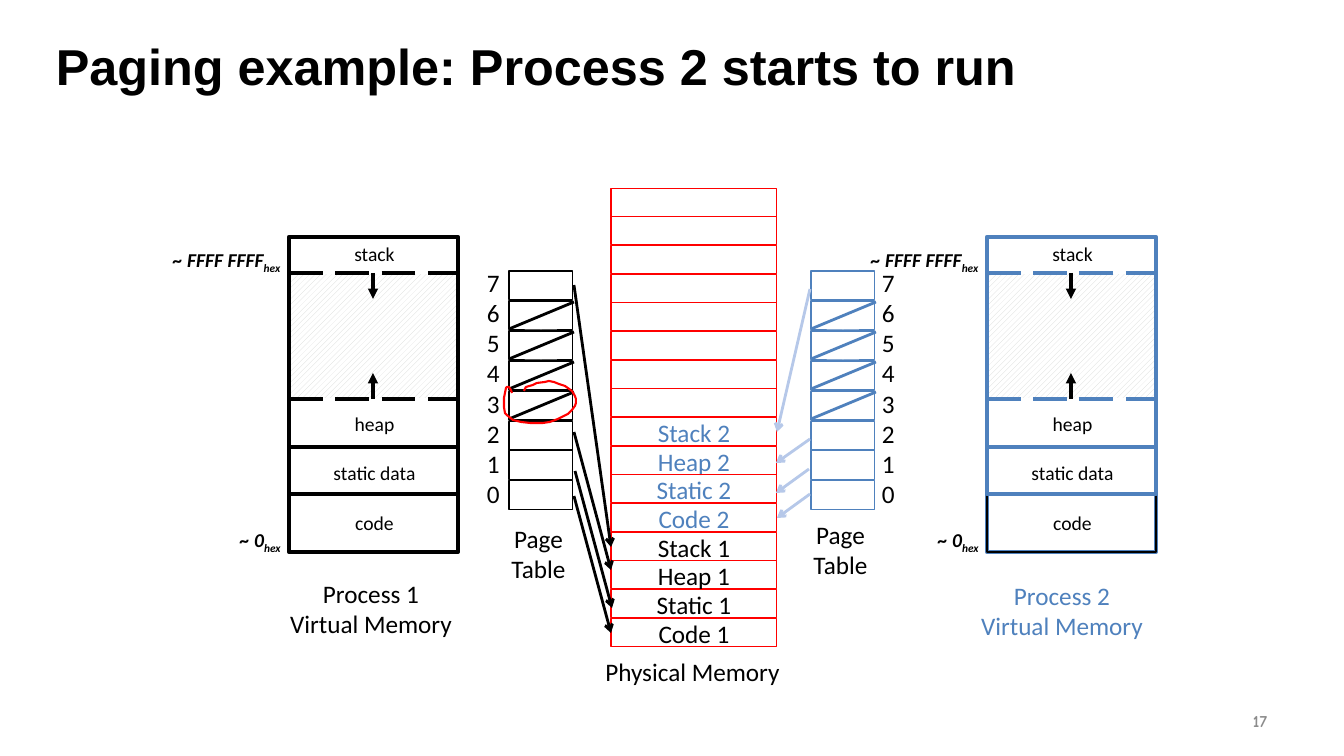
from pptx import Presentation
from pptx.dml.color import RGBColor
from pptx.enum.dml import MSO_LINE, MSO_PATTERN
from pptx.enum.shapes import MSO_CONNECTOR, MSO_SHAPE
from pptx.enum.text import MSO_ANCHOR, PP_ALIGN
from pptx.oxml.ns import qn
from pptx.util import Emu, Pt
from lxml import etree

LEFT, CENTER, RIGHT = PP_ALIGN.LEFT, PP_ALIGN.CENTER, PP_ALIGN.RIGHT
TOP, MIDDLE = MSO_ANCHOR.TOP, MSO_ANCHOR.MIDDLE
RECTANGLE, STRAIGHT = MSO_SHAPE.RECTANGLE, MSO_CONNECTOR.STRAIGHT
LONG_DASH, HATCH = MSO_LINE.LONG_DASH, MSO_PATTERN.WIDE_UPWARD_DIAGONAL

EMU_PER_PX = 914400 / 100.8
BLACK, BLUE, PALE_BLUE, RED = "000000", "4F81BD", "B6C8E9", "FF0000"
WHITE, HATCH_GREY, NUMBER_GREY = "FFFFFF", "D6D7D6", "8C8C8C"

FRAMES = [""] * 8 + [
    "Stack 2", "Heap 2", "Static 2", "Code 2",
    "Stack 1", "Heap 1", "Static 1", "Code 1",
]
PROCESS_1_MAPPING = [
    ((574, 496), (611, 633)), ((575, 471), (612, 608)),
    ((574, 432), (611, 570)), ((574, 285), (611, 547)),
]
PROCESS_2_MAPPING = [
    ((810, 494), (777, 518)), ((809, 469), (776, 493)),
    ((810, 439), (776, 463)), ((810, 289), (777, 432)),
]
CIRCLE_MARK = [
    (512, 393), (511, 390), (509, 387), (507, 387), (506, 388), (505, 393),
    (504, 398), (504, 407), (505, 413), (508, 416), (513, 420), (521, 422),
    (530, 423), (543, 423), (550, 422), (558, 419), (568, 414), (572, 410),
    (575, 406), (576, 403), (576, 399), (575, 396), (572, 391), (565, 386),
    (559, 384), (554, 382), (549, 381), (545, 382), (537, 383), (533, 385),
    (526, 387), (524, 391),
]


def px(length):
    return Emu(round(length * EMU_PER_PX))


def rgb(value):
    return RGBColor.from_string(value)


class MemoryDiagram:
    """Draws text, boxes, lines and memory layouts on one slide."""

    def __init__(self, slide, font="Calibri"):
        self.shapes = slide.shapes
        self.font = font

    def fill_text(self, frame, paragraphs, size, color, align, anchor=TOP,
                  bold=False, italic=False, font=None, subscript=""):
        frame.word_wrap = True
        frame.vertical_anchor = anchor
        if align == CENTER:
            frame.margin_left = frame.margin_right = 0
        for index, content in enumerate(paragraphs):
            paragraph = frame.paragraphs[0] if index == 0 else frame.add_paragraph()
            paragraph.alignment = align
            for number, line in enumerate(content.split("\n")):
                if number:
                    paragraph.add_line_break()
                self.add_run(paragraph, line, size, color, bold, italic, font)
            if subscript:
                run = self.add_run(paragraph, subscript, size, color, bold, italic, font)
                run._r.get_or_add_rPr().set("baseline", "-25000")

    def add_run(self, paragraph, content, size, color, bold, italic, font):
        run = paragraph.add_run()
        run.text = content
        run.font.name = font or self.font
        run.font.size = Pt(size)
        run.font.bold, run.font.italic = bold, italic
        run.font.color.rgb = rgb(color)
        return run

    def text(self, left, top, width, height, paragraphs, size=18,
             color=BLACK, align=CENTER, **style):
        box = self.shapes.add_textbox(px(left), px(top), px(width), px(height))
        self.fill_text(box.text_frame, paragraphs, size, color, align, **style)

    def outline(self, shape, color, weight):
        shape.shadow.inherit = False
        shape.fill.background()
        shape.line.color.rgb = rgb(color)
        shape.line.width = Pt(weight)

    def box(self, left, top, width, height, color, weight):
        shape = self.shapes.add_shape(RECTANGLE, px(left), px(top), px(width), px(height))
        self.outline(shape, color, weight)
        return shape

    def line(self, start, end, color, weight, dash=None, head=None):
        connector = self.shapes.add_connector(
            STRAIGHT, px(start[0]), px(start[1]), px(end[0]), px(end[1]))
        connector.line.color.rgb = rgb(color)
        connector.line.width = Pt(weight)
        if dash:
            connector.line.dash_style = dash
        if head:
            tail_end = etree.SubElement(connector.line._get_or_add_ln(), qn("a:tailEnd"))
            tail_end.set("type", head)
        etree.SubElement(connector._element.spPr, qn("a:effectLst"))

    def freehand(self, points, color, weight):
        builder = self.shapes.build_freeform(*points[0], scale=EMU_PER_PX)
        builder.add_line_segments(points[1:], close=False)
        self.outline(builder.convert_to_shape(), color, weight)

    def virtual_memory(self, left, color):
        unused = self.box(left, 273, 169, 126, WHITE, 1)
        unused.fill.patterned()
        unused.fill.pattern = HATCH
        unused.fill.fore_color.rgb = rgb(HATCH_GREY)
        unused.fill.back_color.rgb = rgb(WHITE)
        self.box(left, 237, 169, 315, color, 3)
        self.box(left, 494, 169, 58, BLACK, 1)
        self.box(left, 447, 169, 47, color, 3)
        for boundary, growth in ((399, -26), (273, 26)):
            self.line((left, boundary), (left + 169, boundary), color, 3, dash=LONG_DASH)
            self.line((left + 84, boundary), (left + 84, boundary + growth),
                      BLACK, 2.5, head="triangle")
        for segment, top in (("code", 506), ("static data", 456),
                             ("heap", 407), ("stack", 237)):
            self.text(left + 20, top, 131, 34, [segment], size=14)
        for address, offset, top in (("~ FFFF FFFF", -126, 243), ("~ 0", -59, 523)):
            self.text(left + offset, top, 136, 34, [address], size=14, align=LEFT,
                      bold=True, italic=True, subscript="hex")

    def page_table(self, left, digits_left, label_top, color):
        for row in range(8):
            self.box(left, 271 + 30 * row, 64, 29, color, 0.75)
        self.text(digits_left, 262, 40, 254, [str(page) for page in range(7, -1, -1)],
                  align=LEFT)
        self.text(left - 8, label_top, 75, 72, ["Page\nTable"])

    def unmapped_pages(self, left, color):
        for row in range(4):
            self.line((left, 329 + 30 * row), (left + 65, 302 + 30 * row), color, 2)

    def physical_memory(self, left, top):
        for index, owner in enumerate(FRAMES):
            frame = self.box(left, top + index * 86 // 3, 166, 28, RED, 0.75)
            if owner:
                color = BLUE if owner.endswith("2") else BLACK
                self.fill_text(frame.text_frame, [owner], 18, color, CENTER, MIDDLE)
        self.text(594, 651, 197, 40, ["Physical Memory"])

    def mapping(self, arrows, color):
        for start, end in arrows:
            self.line(start, end, color, 2, head="arrow")


def main():
    deck = Presentation()
    deck.slide_width, deck.slide_height = px(1344), px(756)
    diagram = MemoryDiagram(deck.slides.add_slide(deck.slide_layouts[6]))

    diagram.text(46, 30, 1250, 72, ["Paging example: Process 2 starts to run"],
                 size=36, align=LEFT, bold=True, font="Arial")
    diagram.text(964, 701, 313, 40, ["17"], size=12, color=NUMBER_GREY, align=RIGHT,
                 anchor=MIDDLE, bold=True, font="Comic Neue")

    diagram.virtual_memory(289, BLACK)
    diagram.virtual_memory(987, BLUE)
    diagram.text(279, 573, 184, 72, ["Process 1", "Virtual Memory"])
    diagram.text(970, 575, 184, 72, ["Process 2", "Virtual Memory"], color=BLUE)

    diagram.page_table(509, 477, 518, BLACK)
    diagram.page_table(811, 872, 514, BLUE)
    diagram.physical_memory(611, 189)
    diagram.mapping(PROCESS_1_MAPPING, BLACK)
    diagram.unmapped_pages(509, BLACK)
    diagram.mapping(PROCESS_2_MAPPING, PALE_BLUE)
    diagram.unmapped_pages(811, BLUE)
    diagram.freehand(CIRCLE_MARK, RED, 1.5)

    deck.save("out.pptx")


if __name__ == "__main__":
    main()
